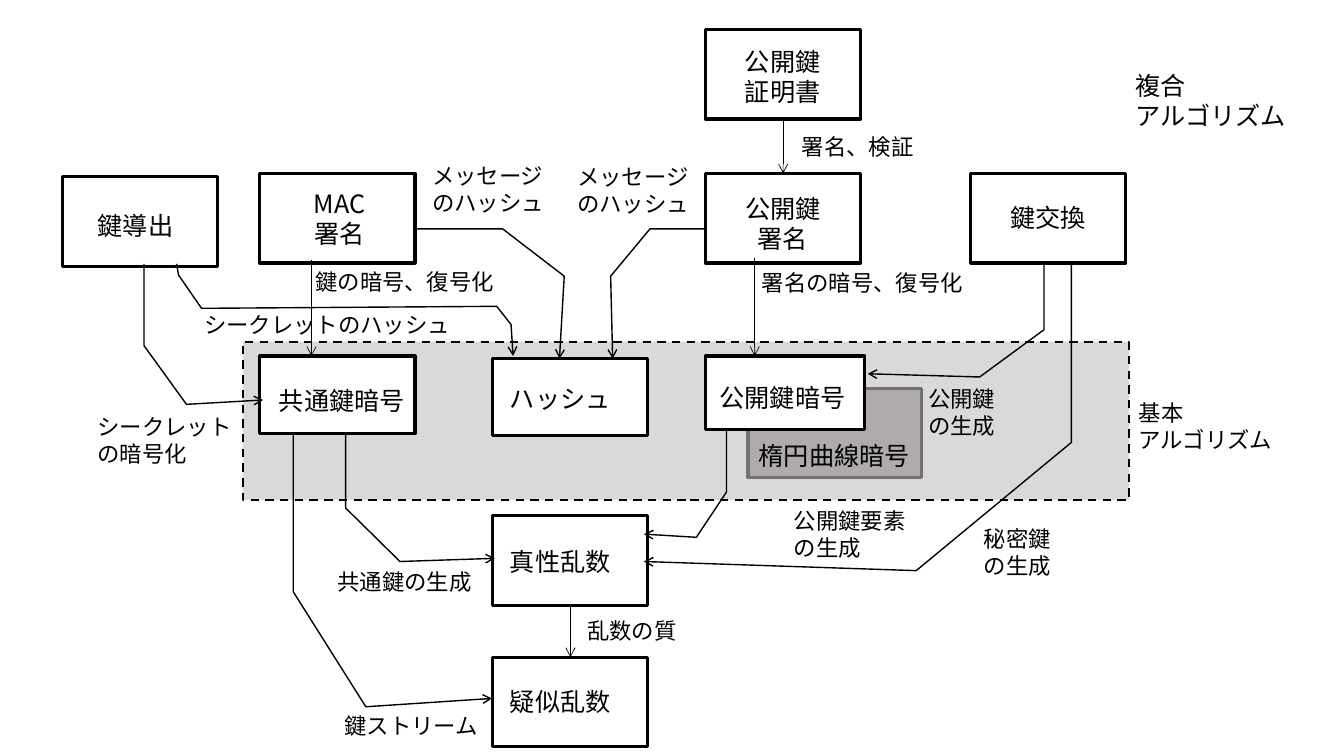
from lxml import etree
from pptx import Presentation
from pptx.dml.color import RGBColor
from pptx.enum.dml import MSO_LINE
from pptx.enum.shapes import MSO_CONNECTOR, MSO_SHAPE
from pptx.enum.text import MSO_AUTO_SIZE, PP_ALIGN
from pptx.oxml.ns import qn
from pptx.util import Cm, Pt

RECT = MSO_SHAPE.RECTANGLE
STRAIGHT = MSO_CONNECTOR.STRAIGHT
DASH = MSO_LINE.DASH
FIT = MSO_AUTO_SIZE.SHAPE_TO_FIT_TEXT
LEFT, CENTER = PP_ALIGN.LEFT, PP_ALIGN.CENTER

BLACK = RGBColor(0x00, 0x00, 0x00)
WHITE = RGBColor(0xFF, 0xFF, 0xFF)
AREA_GRAY = RGBColor(0xD9, 0xD9, 0xD9)
CURVE_FILL = RGBColor(0xAF, 0xAB, 0xAB)
CURVE_LINE = RGBColor(0x76, 0x71, 0x71)

FONT = "Noto Sans CJK JP"
BOX_W, BOX_H = 3.91, 2.26
COL_KEY, COL_MAC, COL_HASH, COL_PUBLIC, COL_EXCHANGE = 1.57, 6.55, 12.42, 17.78, 24.46
BOTTOM, TOP = 2, 0

prs = Presentation()
prs.slide_width, prs.slide_height = Cm(33.87), Cm(19.05)
s = prs.slides.add_slide(prs.slide_layouts[6])


def add_box(x, y, w=BOX_W, h=BOX_H, fill=WHITE, line=BLACK, width=2.25):
    sp = s.shapes.add_shape(RECT, Cm(x), Cm(y), Cm(w), Cm(h))
    sp.shadow.inherit = False
    sp.fill.solid()
    sp.fill.fore_color.rgb = fill
    sp.line.color.rgb = line
    sp.line.width = Pt(width)
    return sp


def style_arrow(sp, width):
    """Black line with an open arrowhead at its end."""
    sp.line.color.rgb = BLACK
    sp.line.width = Pt(width)
    etree.SubElement(sp.line._get_or_add_ln(), qn("a:tailEnd"), type="arrow")


# Boxes
area = add_box(6.12, 8.61, 22.33, 3.99, fill=AREA_GRAY, width=1.5)
area.line.dash_style = DASH

for x, y in [(COL_KEY, 4.45), (COL_MAC, 4.37), (COL_EXCHANGE, 4.37)]:
    add_box(x, y)
certificate = add_box(COL_PUBLIC, 0.74)
signature = add_box(COL_PUBLIC, 4.37)
true_random = add_box(COL_HASH, 13.0)
pseudo_random = add_box(COL_HASH, 16.56)
add_box(COL_MAC, 8.97, h=1.96)
add_box(COL_HASH, 9.04, h=1.93)
add_box(18.85, 9.78, w=4.37, fill=CURVE_FILL, line=CURVE_LINE)
add_box(COL_PUBLIC, 8.97, w=4.01, h=1.85)

# Straight arrows
joined = [(certificate, signature), (true_random, pseudo_random)]
arrows = []
for upper, lower in joined:
    c = s.shapes.add_connector(STRAIGHT, 0, 0, 0, 0)
    c.begin_connect(upper, BOTTOM)
    c.end_connect(lower, TOP)
    arrows.append(c)
for x, y in [(7.85, 6.55), (19.02, 6.5)]:
    arrows.append(s.shapes.add_connector(STRAIGHT, Cm(x), Cm(y), Cm(x), Cm(8.97)))
for c in arrows:
    style_arrow(c, 0.5)
    etree.SubElement(c._element.spPr, qn("a:effectLst"))

# Bent arrows
routes = [
    [(8.71, 10.92), (8.71, 12.8), (10.08, 14.15), (12.47, 14.07)],
    [(18.31, 10.8), (18.31, 12.4), (17.55, 13.54), (16.23, 13.46)],
    [(17.78, 5.77), (16.38, 5.77), (15.39, 6.96), (15.44, 9.04)],
    [(10.49, 5.77), (12.67, 5.77), (14.22, 6.96), (14.1, 9.04)],
    [(26.31, 6.65), (26.31, 8.31), (24.69, 9.5), (21.87, 9.42)],
    [(27, 6.65), (27, 11.15), (23.09, 14.38), (16.23, 14.15)],
    [(3.63, 6.65), (3.63, 8.71), (4.7, 10.19), (6.63, 10.08)],
    [(4.45, 6.65), (4.5, 6.93), (5.08, 7.77), (12.52, 7.72), (12.88, 8.18), (12.93, 8.97)],
    [(7.39, 10.9), (7.39, 14.91), (9.22, 17.81), (12.4, 17.6)],
]
for route in routes:
    start, *rest = [(Cm(x), Cm(y)) for x, y in route]
    fb = s.shapes.build_freeform(*start)
    fb.add_line_segments(rest, close=False)
    sp = fb.convert_to_shape()
    sp.shadow.inherit = False
    sp.fill.background()
    style_arrow(sp, 1)

# Texts: left, top, wording, alignment, grouped by size
texts = {
    18: [
        (7.35, 4.62, "MAC\n署名", CENTER),
        (6.78, 9.58, "共通鍵暗号", LEFT),
        (12.6, 9.53, "ハッシュ", LEFT),
        (12.6, 13.64, "真性乱数", LEFT),
        (12.6, 17.17, "疑似乱数", LEFT),
        (18.52, 4.75, "公開鍵\n署名", CENTER),
        (18.52, 1.04, "公開鍵\n証明書", LEFT),
        (25.2, 4.98, "鍵交換", CENTER),
        (2.21, 5.18, "鍵導出", LEFT),
        (17.88, 9.5, "公開鍵暗号", LEFT),
        (18.87, 10.97, "楕円曲線暗号", LEFT),
        (28.37, 1.65, "複合\nアルゴリズム", LEFT),
    ],
    16: [
        (14.55, 15.42, "乱数の質", LEFT),
        (8.26, 14.2, "共通鍵の生成", LEFT),
        (19.76, 12.65, "公開鍵要素\nの生成", LEFT),
        (7.7, 6.63, "鍵の暗号、復号化", LEFT),
        (10.64, 3.96, "メッセージ\nのハッシュ", LEFT),
        (14.3, 3.99, "メッセージ\nのハッシュ", LEFT),
        (19.96, 3.23, "署名、検証", LEFT),
        (18.95, 6.65, "署名の暗号、復号化", LEFT),
        (24.54, 13.11, "秘密鍵\nの生成", LEFT),
        (23.14, 9.58, "公開鍵\nの生成", LEFT),
        (4.9, 7.72, "シークレットのハッシュ", LEFT),
        (2.21, 10.29, "シークレット\nの暗号化", LEFT),
        (28.45, 9.93, "基本\nアルゴリズム", LEFT),
        (8.43, 17.83, "鍵ストリーム", LEFT),
    ],
}
for size, labels in texts.items():
    for x, y, text, align in labels:
        lines = text.split("\n")
        w = max(len(line) for line in lines) * Pt(size) + Cm(0.51)
        h = len(lines) * Cm(size * 0.043) + Cm(0.25)
        tf = s.shapes.add_textbox(Cm(x), Cm(y), w, h).text_frame
        tf.word_wrap = False
        tf.auto_size = FIT
        tf.text = text
        for p in tf.paragraphs:
            p.alignment = align
            for r in p.runs:
                r.font.size = Pt(size)
                r.font.name = FONT
                r.font.color.rgb = BLACK
                etree.SubElement(r.font._element, qn("a:ea"), typeface=FONT)

prs.save("out.pptx")
